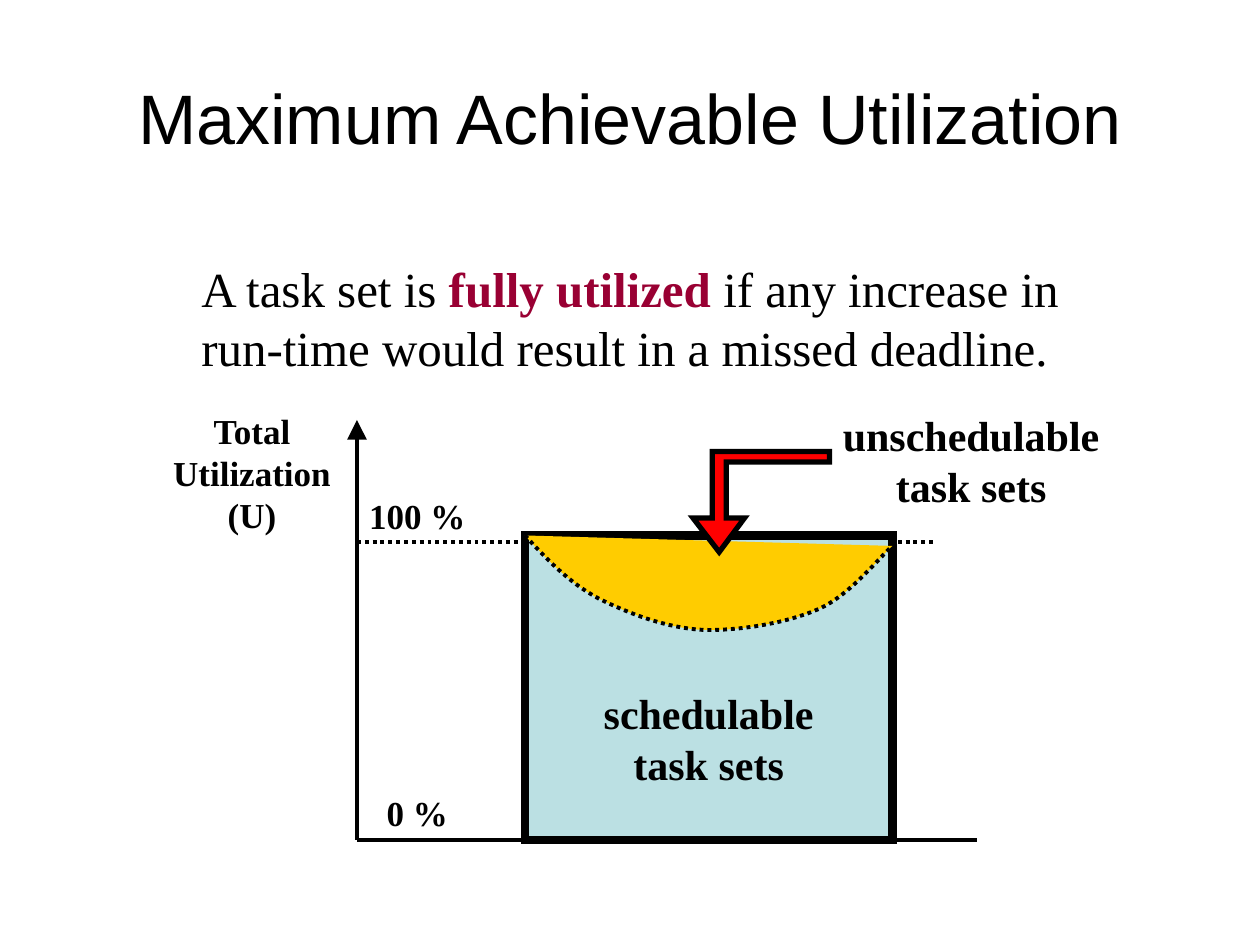
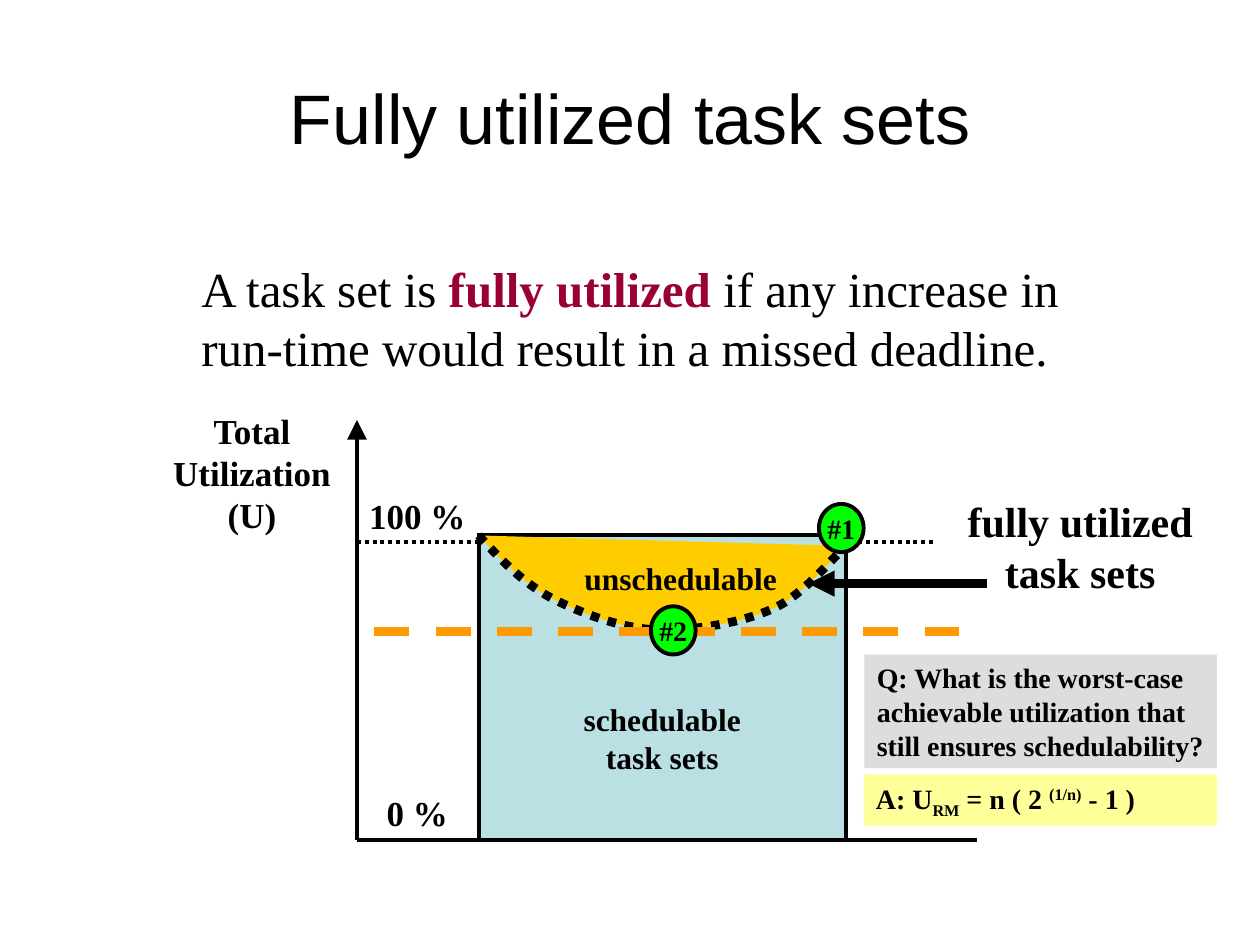
from pptx import Presentation
from pptx.dml.color import RGBColor
from pptx.enum.dml import MSO_LINE
from pptx.enum.shapes import MSO_CONNECTOR, MSO_SHAPE
from pptx.enum.text import MSO_ANCHOR, MSO_AUTO_SIZE, PP_ALIGN
from pptx.oxml.ns import qn
from pptx.util import Pt
from lxml import etree

COLORS = {
    "ink": "000000",
    "term": "990033",
    "schedulable": "BBE0E3",
    "unschedulable": "FFCC00",
    "pointer": "FF0000",
    "bound": "FF9900",
    "badge": "00FF00",
    "question": "DDDDDD",
    "answer": "FFFF99",
}
TITLE_FONT, BODY_FONT = "Arial", "Times New Roman"

AXIS_X, AXIS_Y = 204, 480
REGION_TOP, REGION_WIDTH = 306, 210
# Bezier pieces of the schedulability limit, relative to the region's top left
LIMIT_START = (0, 0)
LIMIT_CURVES = [
    ((12.5, 13.5), (24.5, 26.5), (42, 36)),
    ((59, 44.5), (81, 53), (102, 54)),
    ((123, 54.5), (150, 50), (168, 42)),
    ((186, 34), (203, 12), (210, 6)),
]
CURVE_STEPS = 16


def rgb(name):
    return RGBColor.from_string(COLORS[name])


def write(frame, lines, size, font=BODY_FONT, bold=True,
          align=PP_ALIGN.CENTER, wrap=False):
    """Fill a frame; a line is a string, or a tuple of strings, one per run."""
    frame.word_wrap = wrap
    frame.vertical_anchor = MSO_ANCHOR.MIDDLE
    for index, line in enumerate(lines):
        paragraph = frame.paragraphs[0] if index == 0 else frame.add_paragraph()
        if isinstance(line, str):
            paragraph.text = line
        else:
            for part in line:
                paragraph.add_run().text = part
        paragraph.alignment = align
        for run in paragraph.runs:
            run.font.name = font
            run.font.size = Pt(size)
            run.font.bold = bold
            run.font.color.rgb = rgb("ink")


def add_label(slide, box, lines, size, wrap=False, **style):
    label = slide.shapes.add_textbox(*map(Pt, box))
    frame = label.text_frame
    write(frame, lines, size, wrap=wrap, **style)
    if not wrap:
        frame.auto_size = MSO_AUTO_SIZE.SHAPE_TO_FIT_TEXT
        frame.margin_left = frame.margin_right = 0
    return label


def paint(shape, fill, line_width=0, dash=None):
    shape.shadow.inherit = False
    shape.fill.solid()
    shape.fill.fore_color.rgb = rgb(fill)
    if not line_width:
        shape.line.fill.background()
        return
    shape.line.color.rgb = rgb("ink")
    shape.line.width = Pt(line_width)
    if dash:
        shape.line.dash_style = dash
    outline = shape._element.spPr.find(qn("a:ln"))
    etree.SubElement(outline, qn("a:miter"), lim="800000")


def add_block(slide, kind, box, fill, line_width, lines, size, **style):
    block = slide.shapes.add_shape(kind, *map(Pt, box))
    paint(block, fill, line_width)
    write(block.text_frame, lines, size, **style)
    return block


def add_line(slide, start, end, width=2.25, color="ink", dash=None, head=None):
    """Draw a line; head is the arrowhead size, "med" or "lg"."""
    line = slide.shapes.add_connector(
        MSO_CONNECTOR.STRAIGHT, *map(Pt, start + end))
    line.line.color.rgb = rgb(color)
    line.line.width = Pt(width)
    if dash:
        line.line.dash_style = dash
    properties = line._element.spPr
    if head:
        etree.SubElement(properties.find(qn("a:ln")), qn("a:tailEnd"),
                         type="triangle", w=head, len=head)
    etree.SubElement(properties, qn("a:effectLst"))


def add_outline(slide, points, fill, line_width, dash=None, close=False):
    points = [(Pt(x), Pt(y)) for x, y in points]
    builder = slide.shapes.build_freeform(*points[0])
    builder.add_line_segments(points[1:], close=close)
    paint(builder.convert_to_shape(), fill, line_width, dash)


def limit_points(left):
    """Points along the schedulability limit of a region that starts at left."""
    points, start = [LIMIT_START], LIMIT_START
    for first, second, end in LIMIT_CURVES:
        for step in range(1, CURVE_STEPS + 1):
            t = step / CURVE_STEPS
            points.append(tuple(
                (1 - t) ** 3 * a + 3 * t * (1 - t) ** 2 * b
                + 3 * t ** 2 * (1 - t) * c + t ** 3 * d
                for a, b, c, d in zip(start, first, second, end)))
        start = end
    return [(left + x, REGION_TOP + y) for x, y in points]


def add_definition(slide):
    definition = add_label(
        slide, (108, 144, 518, 75),
        [("A task set is ", "fully utilized", " if any increase in"),
         "run-time would result in a missed deadline."],
        28, bold=False, align=PP_ALIGN.LEFT, wrap=True)
    term = definition.text_frame.paragraphs[0].runs[1]
    term.font.bold = True
    term.font.color.rgb = rgb("term")


def add_axes(slide):
    add_line(slide, (AXIS_X, AXIS_Y), (AXIS_X, 240), head="lg")
    add_label(slide, (92, 230.5, 104, 79), ["Total", "Utilization", "(U)"], 20)
    add_label(slide, (204, 279, 69, 31.5), ["100 %"], 20)
    add_line(slide, (AXIS_X, 309.5), (534, 309.5), dash=MSO_LINE.ROUND_DOT)
    add_line(slide, (AXIS_X, AXIS_Y), (558, AXIS_Y))
    add_label(slide, (214, 448.5, 49, 31.5), ["0 %"], 20)


def add_region(slide, left, border, limit_width, size):
    box = (left, REGION_TOP, REGION_WIDTH, AXIS_Y - REGION_TOP)
    region = add_block(slide, MSO_SHAPE.RECTANGLE, box, "schedulable", border,
                       ["schedulable", "task sets"], size)
    region.text_frame.margin_top = Pt(61)  # keeps the text below the limit
    add_outline(slide, limit_points(left), "unschedulable", limit_width,
                MSO_LINE.ROUND_DOT)


def add_utilization_slide(deck, title, left, border, limit_width, size):
    slide = deck.slides.add_slide(deck.slide_layouts[6])
    add_label(slide, (36, 21.6, 648, 90), [title], 40, font=TITLE_FONT,
              bold=False, wrap=True)
    add_definition(slide)
    add_axes(slide)
    add_region(slide, left, border, limit_width, size)
    return slide


def add_unschedulable_pointer(slide):
    add_label(slide, (474.5, 230.5, 161, 65), ["unschedulable", "task sets"], 24)
    bent_arrow = [(411, 315.5), (425.5, 296), (415, 296), (415, 264), (474, 264),
                  (474, 258), (407, 258), (407, 296), (396, 296)]
    add_outline(slide, bent_arrow, "pointer", 3, close=True)


def add_worst_case(slide):
    add_label(slide, (546, 279.5, 142.5, 65), ["fully utilized", "task sets"], 24)
    add_label(slide, (322.5, 315.5, 133, 29), ["unschedulable"], 18, wrap=True)
    add_line(slide, (214, 361), (558, 361), 5, "bound", MSO_LINE.DASH)
    add_block(slide, MSO_SHAPE.RECTANGLE, (494, 374, 201.5, 65), "question", 0,
              ["Q: What is the worst-case", "achievable utilization that",
               "still ensures schedulability?"], 16, align=PP_ALIGN.LEFT)
    add_line(slide, (564, 333.5), (462, 333.5), 5, head="med")
    answer = add_block(
        slide, MSO_SHAPE.RECTANGLE, (493.5, 442.5, 202, 29.5), "answer", 0,
        [("A: U", "RM", " = n ( 2 ", "(1/n)", " - 1 )")], 16,
        align=PP_ALIGN.LEFT, wrap=True)
    formula = answer.text_frame.paragraphs[0].runs
    for run, baseline in ((formula[1], "-25000"), (formula[3], "30000")):
        run._r.get_or_add_rPr().set("baseline", baseline)
    for name, left, top in (("#1", 468, 288), ("#2", 372, 346.5)):
        add_block(slide, MSO_SHAPE.OVAL, (left, top, 25.5, 27.5), "badge", 2.25,
                  [name], 16)


def main():
    deck = Presentation()
    deck.slide_width, deck.slide_height = Pt(720), Pt(540)
    maximum = add_utilization_slide(
        deck, "Maximum Achievable Utilization", 300, 5, 2.25, 24)
    add_unschedulable_pointer(maximum)
    fully_utilized = add_utilization_slide(
        deck, "Fully utilized task sets", 273.5, 2.25, 5, 18)
    add_worst_case(fully_utilized)
    deck.save("out.pptx")


if __name__ == "__main__":
    main()
